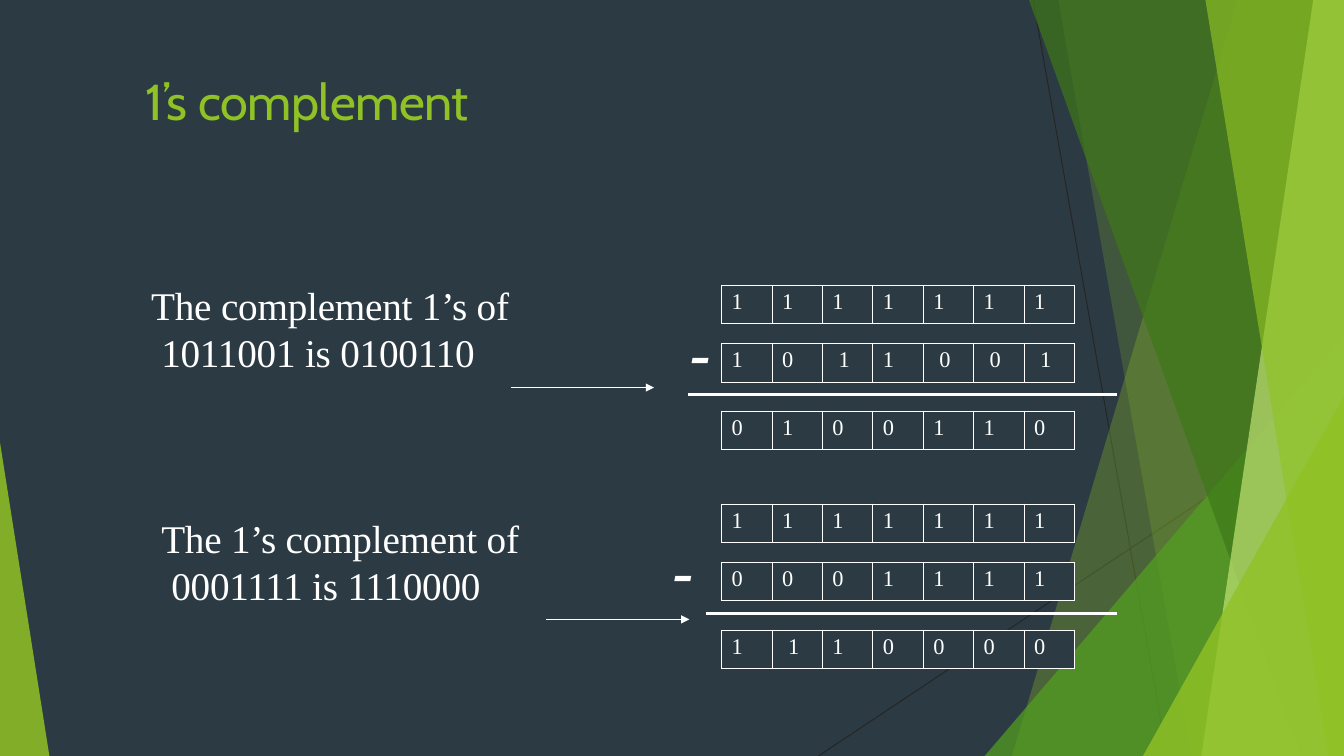
"""Build a slide that explains the 1's complement with two subtractions."""
from dataclasses import dataclass

from lxml import etree
from pptx import Presentation
from pptx.dml.color import RGBColor
from pptx.enum.shapes import MSO_CONNECTOR
from pptx.enum.text import MSO_ANCHOR, MSO_AUTO_SIZE, PP_ALIGN
from pptx.oxml.ns import qn
from pptx.util import Emu, Inches, Pt

STRAIGHT = MSO_CONNECTOR.STRAIGHT
TOP = MSO_ANCHOR.TOP
LEFT = PP_ALIGN.LEFT
FIXED = MSO_AUTO_SIZE.NONE

CELL = Inches(0.5)
RIGHT, BOTTOM = 26.67, 15
ROW_HEIGHT = 0.76
BITS_LEFT = 14.32
SUM_TOPS = (5.66, 10)
LINE_OFFSETS = (0, 1.16, 2.5)


@dataclass(frozen=True)
class Theme:
    """Colours, fonts and type sizes of the slide."""

    ground: str = "2C3B43"
    ink: str = "FFFFFF"
    lime: str = "90C225"
    green: str = "539F20"
    forest: str = "3E7818"
    pale: str = "C0E374"
    hairline: str = "252525"
    heading_font: str = "Cabin"
    body_font: str = "Times New Roman"
    title: int = 36
    body: int = 28
    minus: int = 44
    bit: int = 16


THEME = Theme()
SHARDS = (
    (RIGHT, 24.56, 0, 20.08, THEME.lime, 30),
    (RIGHT, 21, 0, 23.64, THEME.lime, 20),
    (RIGHT, RIGHT, 6.66, 19.54, THEME.green, 72),
    (RIGHT, 20.42, 0, 25.82, THEME.forest, 70),
    (RIGHT, 26.06, 0, 23.84, THEME.pale, 70),
    (RIGHT, 23.92, 0, 26.36, THEME.lime, 65),
    (RIGHT, RIGHT, 7.86, 22.68, THEME.lime, 80),
    (0, 0, 8.78, 0.98, THEME.lime, 85),
)


def grid(*counts):
    """Turn columns or rows into lengths."""
    return [Emu(round(count * CELL)) for count in counts]


def rgb(colour):
    """Return the colour object of a hex code."""
    return RGBColor.from_string(colour)


def add_shard(page, edge, top_x, top_y, bottom_x, colour, opacity):
    """Draw a translucent facet that leans on a side edge of the slide."""
    corners = [(edge, top_y), (top_x, top_y), (bottom_x, BOTTOM), (edge, BOTTOM)]
    start, *others = [grid(*corner) for corner in dict.fromkeys(corners)]
    builder = page.shapes.build_freeform(*start)
    builder.add_line_segments(others)
    shard = builder.convert_to_shape()
    shard.shadow.inherit = False
    shard.line.fill.background()
    shard.fill.solid()
    shard.fill.fore_color.rgb = rgb(colour)
    solid = shard.fill._xPr.find(qn("a:solidFill"))
    etree.SubElement(solid[0], qn("a:alpha"), val=str(opacity * 1000))


def add_line(page, ends, colour, weight, arrow=False):
    """Draw a straight line, with an arrowhead at its end on request."""
    line = page.shapes.add_connector(STRAIGHT, *grid(*ends))
    line.line.color.rgb = rgb(colour)
    line.line.width = Pt(weight)
    if arrow:
        stroke = line.line._get_or_add_ln()
        etree.SubElement(stroke, qn("a:tailEnd"), type="triangle")
    etree.SubElement(line._element.spPr, qn("a:effectLst"))


def format_text(para, font, size, colour, spacing=0):
    """Set the type of every run of a paragraph."""
    para.alignment = LEFT
    for span in para.runs:
        span.font.name = font
        span.font.size = Pt(size)
        span.font.color.rgb = rgb(colour)
        if spacing:
            span.font._element.set("spc", str(spacing))


def fill_frame(box, text):
    """Put text in a tight frame and return its paragraph."""
    frame = box.text_frame
    frame.text = text
    frame.word_wrap = True
    frame.auto_size = FIXED
    frame.vertical_anchor = TOP
    frame.margin_left = Inches(0.01)
    frame.margin_top = Inches(0.01)
    frame.margin_right = frame.margin_bottom = 0
    return frame.paragraphs[0]


def add_title(page, text):
    """Place and format the title."""
    title = page.shapes.title
    title.left, title.top, title.width, title.height = grid(2.86, 1.38, 7.16, 1.26)
    format_text(fill_frame(title, text), THEME.heading_font, THEME.title, THEME.lime, -30)


def add_statement(page, left, top, text):
    """Write a sentence whose second line is set in a little."""
    box = page.shapes.add_textbox(*grid(left, top, 7.3, 1.92))
    para = fill_frame(box, text)
    properties = para._p.get_or_add_pPr()
    properties.set("marL", str(Inches(0.1)))
    properties.set("indent", str(-Inches(0.1)))
    format_text(para, THEME.body_font, THEME.body, THEME.ink, -15)


def add_minus(page, left, top):
    """Write the minus sign of a subtraction."""
    box = page.shapes.add_textbox(*grid(left, top, 0.46, 1.52))
    para = fill_frame(box, "-")
    format_text(para, THEME.body_font, THEME.minus, THEME.ink)
    para.runs[0].font.bold = para.runs[0].font.italic = True


def add_borders(cell):
    """Give a cell a thin line on all sides."""
    properties = cell._tc.get_or_add_tcPr()
    for side in ("lnL", "lnR", "lnT", "lnB"):
        border = etree.SubElement(properties, qn(f"a:{side}"), w=str(Pt(0.75)))
        solid = etree.SubElement(border, qn("a:solidFill"))
        etree.SubElement(solid, qn("a:srgbClr"), val=THEME.ink)


def add_bits(page, top, bits, inset):
    """Draw a binary number as one table row; inset lists the bits set further in."""
    place = grid(BITS_LEFT, top, len(bits), ROW_HEIGHT)
    table = page.shapes.add_table(1, len(bits), *place).table
    table.first_row = table.horz_banding = False
    for index, bit in enumerate(bits):
        cell = table.cell(0, index)
        cell.text = bit
        cell.margin_left = Inches(0.16 if index in inset else 0.1)
        cell.margin_top = Inches(0.04)
        cell.margin_right = cell.margin_bottom = 0
        add_borders(cell)
        cell.fill.solid()
        cell.fill.fore_color.rgb = rgb(THEME.ground)
        format_text(cell.text_frame.paragraphs[0], THEME.body_font, THEME.bit, THEME.ink)


def add_subtraction(page, top, minus_left, rule_left, lines):
    """Draw a written subtraction of binary numbers."""
    add_minus(page, minus_left, top + 0.54)
    add_line(page, (rule_left, top + 2.17, 22.16, top + 2.17), THEME.ink, 2.28)
    for offset, (bits, inset) in zip(LINE_OFFSETS, lines):
        add_bits(page, top + offset, bits, inset)


def main():
    """Build the slide and save it."""
    deck = Presentation()
    deck.slide_width, deck.slide_height = grid(RIGHT, BOTTOM)
    page = deck.slides.add_slide(deck.slide_layouts[5])
    page.background.fill.solid()
    page.background.fill.fore_color.rgb = rgb(THEME.ground)

    for ends in ((20.5, 0, 23.16, BOTTOM), (RIGHT, 8.06, 16.24, BOTTOM)):
        add_line(page, ends, THEME.hairline, 0.72)
    for shard in SHARDS:
        add_shard(page, *shard)

    add_title(page, "1’s complement")
    add_statement(page, 2.98, 5.56, "The complement 1’s of 1011001 is 0100110")
    add_statement(page, 3.18, 10.18, "The 1’s complement of 0001111 is 1110000")
    for left, height in ((10.14, 7.69), (10.84, 12.29)):
        add_line(page, (left, height, left + 2.84, height), THEME.ink, 0.75, arrow=True)

    first, second = SUM_TOPS
    add_subtraction(page, first, 13.68, 13.66,
                    (("1111111", ()), ("1011001", (2, 4, 5, 6)), ("0100110", ())))
    add_subtraction(page, second, 13.34, 14,
                    (("1111111", ()), ("0001111", ()), ("1110000", (1,))))
    deck.save("out.pptx")


if __name__ == "__main__":
    main()
